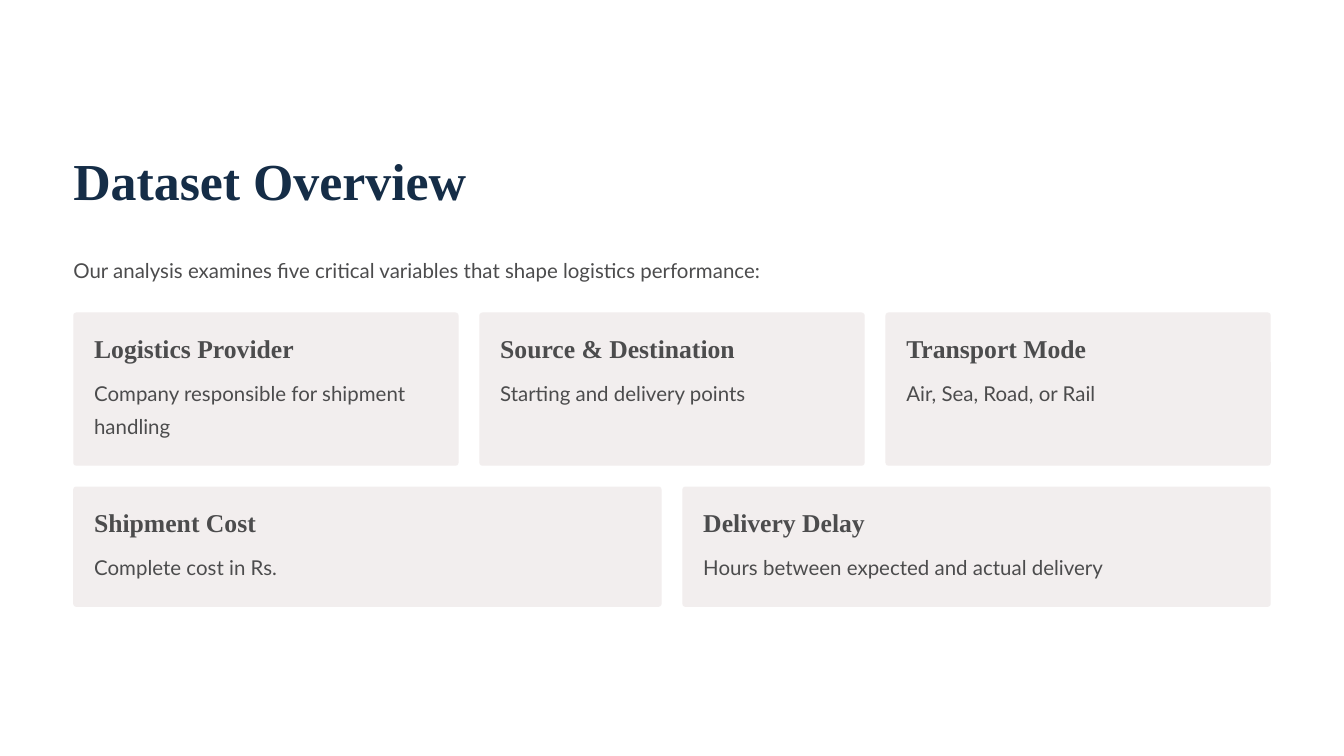
from dataclasses import dataclass

from pptx import Presentation
from pptx.dml.color import RGBColor
from pptx.enum.shapes import MSO_SHAPE as Preset
from pptx.slide import Slide
from pptx.util import Inches, Pt

LEFT, WIDTH, GAP = 1.09, 17.82, 0.31
CORNER = 0.045
NAVY, GREY, CARD_FILL = "152D47", "4C4C4D", "F2EEEE"


@dataclass(frozen=True)
class TextStyle:
    font: dict
    color: str
    line_points: float


@dataclass(frozen=True)
class Variable:
    heading: str
    detail: str


@dataclass(frozen=True)
class CardRow:
    top: float
    height: float
    detail_height: float
    variables: tuple[Variable, ...]


TITLE = TextStyle({"name": "Times New Roman", "size": Pt(55.6), "bold": True}, NAVY, 69.4)
HEADING = TextStyle({"name": "Times New Roman", "size": Pt(27.5), "bold": True}, GREY, 34.4)
BODY = TextStyle({"name": "Lato", "size": Pt(21.9), "bold": False}, GREY, 35.6)

ROWS = (
    CardRow(4.65, 2.28, 1.09, (
        Variable("Logistics Provider", "Company responsible for shipment handling"),
        Variable("Source & Destination", "Starting and delivery points"),
        Variable("Transport Mode", "Air, Sea, Road, or Rail"),
    )),
    CardRow(7.24, 1.79, 0.59, (
        Variable("Shipment Cost", "Complete cost in Rs."),
        Variable("Delivery Delay", "Hours between expected and actual delivery"),
    )),
)


def paint(color_holder, hex_color: str) -> None:
    color_holder.rgb = RGBColor.from_string(hex_color)


def add_text(slide: Slide, text: str, style: TextStyle,
             left: float, top: float, width: float, height: float) -> None:
    frame = slide.shapes.add_textbox(
        Inches(left), Inches(top), Inches(width), Inches(height)).text_frame
    frame_format = {"margin_left": 0, "margin_top": 0, "margin_right": 0,
                    "margin_bottom": 0, "word_wrap": True}
    for attribute, value in frame_format.items():
        setattr(frame, attribute, value)
    paragraph = frame.paragraphs[0]
    paragraph.line_spacing = Pt(style.line_points)
    run = paragraph.add_run()
    run.text = text
    for attribute, value in style.font.items():
        setattr(run.font, attribute, value)
    paint(run.font.color, style.color)


def add_card(slide: Slide, variable: Variable, row: CardRow,
             left: float, width: float) -> None:
    card = slide.shapes.add_shape(
        Preset.ROUNDED_RECTANGLE,
        Inches(left), Inches(row.top), Inches(width), Inches(row.height))
    card.adjustments[0] = CORNER / row.height
    card.shadow.inherit = False
    card.fill.solid()
    paint(card.fill.fore_color, CARD_FILL)
    card.line.fill.background()
    text_left, text_width = left + GAP, width - 2 * GAP
    add_text(slide, variable.heading, HEADING, text_left, row.top + 0.28, 3.88, 0.52)
    add_text(slide, variable.detail, BODY,
             text_left, row.top + 0.89, text_width, row.detail_height)


def add_card_row(slide: Slide, row: CardRow) -> None:
    count = len(row.variables)
    card_width = (WIDTH - GAP * (count - 1)) / count
    for column, variable in enumerate(row.variables):
        add_card(slide, variable, row, LEFT + column * (card_width + GAP), card_width)


def main() -> None:
    deck = Presentation()
    deck.slide_width, deck.slide_height = Inches(20), Inches(11.25)
    slide = deck.slides.add_slide(deck.slide_layouts[6])
    slide.background.fill.solid()
    paint(slide.background.fill.fore_color, "FFFFFF")

    add_text(slide, "Dataset Overview", TITLE, LEFT, 2.17, 7.75, 1.02)
    add_text(slide,
             "Our analysis examines five critical variables that shape logistics performance:",
             BODY, LEFT, 3.71, WIDTH, 0.59)
    for row in ROWS:
        add_card_row(slide, row)

    deck.save("out.pptx")


if __name__ == "__main__":
    main()
